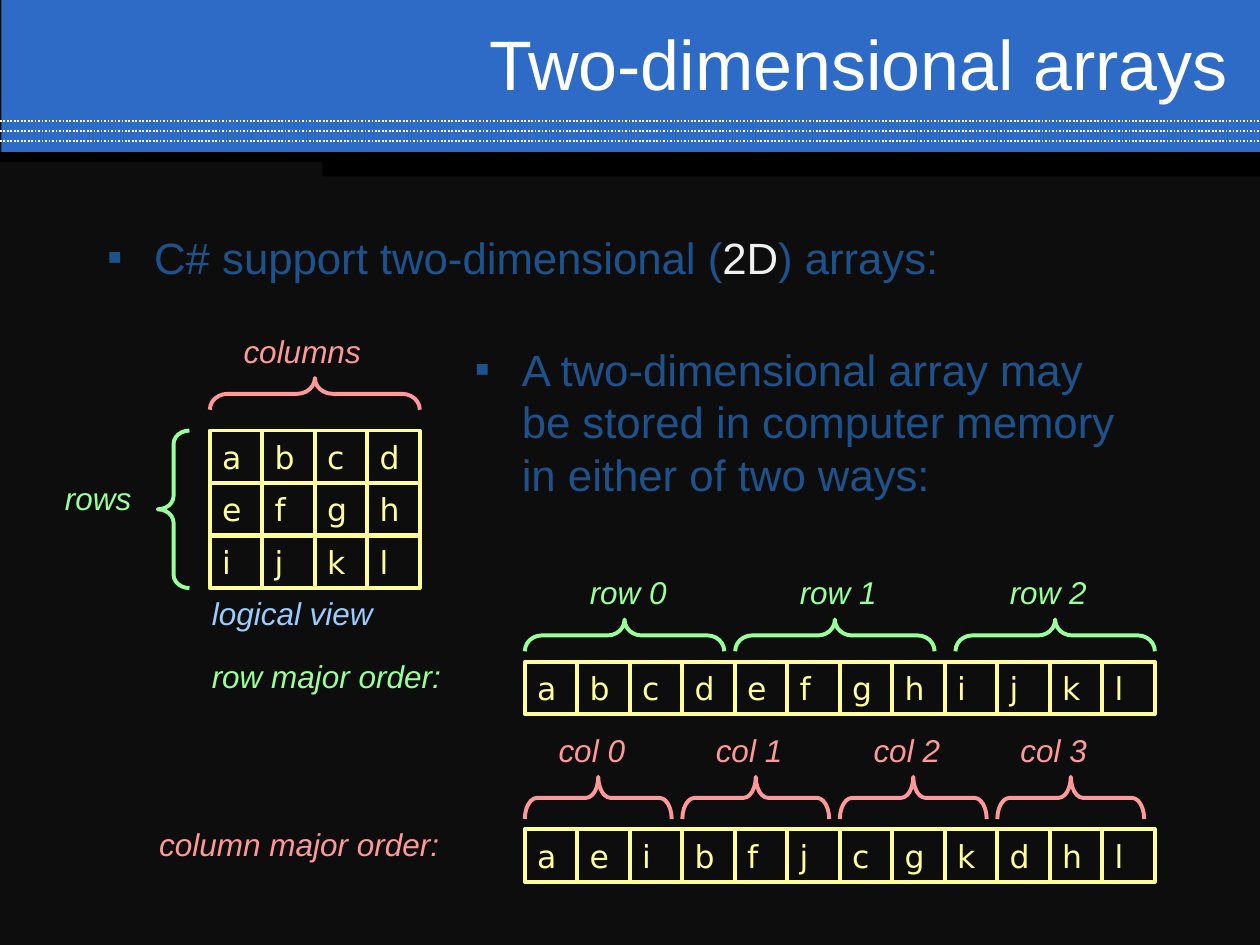
from lxml.etree import SubElement
from pptx import Presentation
from pptx.dml.color import RGBColor
from pptx.enum.dml import MSO_LINE
from pptx.enum.shapes import MSO_CONNECTOR, MSO_SHAPE as Shape
from pptx.enum.text import MSO_ANCHOR as Anchor, PP_ALIGN as Align
from pptx.oxml.ns import qn
from pptx.util import Cm, Pt

COLORS = {
    "background": "0D0D0D", "banner": "2D6BC7", "shadow": "000000",
    "white": "FFFFFF", "body": "1D528D", "emphasis": "F0F0F0",
    "cell": "FFFF99", "row": "99FF99", "column": "FF9999", "view": "99CCFF",
}

# All positions are in centimetres: left, top, width, height
BARS = [
    ("banner", (0.03, 0, 25.37, 3.12)),
    ("shadow", (0, 3.07, 25.4, 0.2)),
    ("shadow", (6.5, 3.15, 18.9, 0.41)),
]
DOTTED_LINES = [2.44, 2.64, 2.84]

TITLE = "Two-dimensional arrays"
BULLETS = [
    ((1.91, 4.52, 21.59, 2.11),
     [("C# support two-dimensional (", "body"), ("2D", "emphasis"),
      (") arrays:", "body")]),
    ((9.32, 6.78, 13.97, 4.01),
     [("A two-dimensional array may be stored in computer memory "
       "in either of two ways:", "body")]),
]

GRID = ["abcd", "efgh", "ijkl"]
CELL = 12.7 / 12
GRID_LEFT, GRID_TOP = 4.23, 8.68
MEMORY_LEFT, ROW_ORDER_TOP, COLUMN_ORDER_TOP = 10.58, 13.34, 16.72
ROW_ORDER = "".join(GRID)
COLUMN_ORDER = "".join("".join(column) for column in zip(*GRID))

LABELS = [
    ("logical view", "view", 4.02, 11.85, 4.87),
    ("rows", "row", 1.06, 9.53, 2.54),
    ("columns", "column", 4.66, 6.56, 4.02),
    ("row major order:", "row", 4.02, 13.12, 6.56),
    ("column major order:", "column", 2.96, 16.51, 7.62),
]
LABELS += [(f"row {i}", "row", 11.64 + 4 * CELL * i, 11.43, 2.54)
           for i in range(3)]
LABELS += [(f"col {i}", "column", left, 14.61, 2.33)
           for i, left in enumerate([11.01, 14.18, 17.36, 20.32])]

# Braces that open downwards: colour, box, bend
TOP_BRACES = [("column", (GRID_LEFT, 7.62, 4 * CELL, 0.64), 0.56)]
TOP_BRACES += [("row", (left, 12.49, 4.02, 0.64), 0.53)
               for left in (MEMORY_LEFT, 14.82, 19.26)]
TOP_BRACES += [("column", (MEMORY_LEFT + 3 * CELL * i, 15.66, 2.96, 0.85), 0.29)
               for i in range(4)]


def rgb(name):
    return RGBColor.from_string(COLORS[name])


def set_all(target, formats):
    for key, value in formats.items():
        setattr(target, key, value)


def add_runs(paragraph, runs, size, font="Arial", italic=False):
    for words, color in runs:
        run = paragraph.add_run()
        run.text = words
        set_all(run.font, {"size": Pt(size), "name": font, "italic": italic})
        run.font.color.rgb = rgb(color)


def add_text(slide, box, runs, size, italic=False):
    frame = slide.shapes.add_textbox(*map(Cm, box)).text_frame
    frame.word_wrap = True
    add_runs(frame.paragraphs[0], runs, size, italic=italic)
    return frame


def add_outline(slide, preset, box, color):
    shape = slide.shapes.add_shape(preset, *map(Cm, box))
    shape.shadow.inherit = False
    shape.fill.background()
    shape.line.color.rgb = rgb(color)
    shape.line.width = Pt(2.25)
    return shape


def add_cells(slide, letters, left, top):
    for i, letter in enumerate(letters):
        box = (left + i * CELL, top, CELL, CELL)
        frame = add_outline(slide, Shape.RECTANGLE, box, "cell").text_frame
        set_all(frame, {"word_wrap": False, "vertical_anchor": Anchor.MIDDLE})
        frame.paragraphs[0].alignment = Align.LEFT
        add_runs(frame.paragraphs[0], [(letter, "cell")], 18, "DejaVu Sans")


def add_top_brace(slide, color, box, bend):
    """Turn a left brace by 90 degrees so that it fills the box."""
    left, top, width, height = box
    shift = (width - height) / 2
    upright = (left + shift, top - shift, height, width)
    brace = add_outline(slide, Shape.LEFT_BRACE, upright, color)
    brace.rotation = 90
    brace.adjustments[0] = bend


def add_banner(slide):
    for color, box in BARS:
        bar = slide.shapes.add_shape(Shape.RECTANGLE, *map(Cm, box))
        bar.shadow.inherit = False
        bar.fill.solid()
        bar.fill.fore_color.rgb = rgb(color)
        bar.line.fill.background()
    for y in DOTTED_LINES:
        rule = slide.shapes.add_connector(
            MSO_CONNECTOR.STRAIGHT, Cm(0), Cm(y), Cm(25.4), Cm(y))
        rule.line.color.rgb = rgb("white")
        set_all(rule.line, {"width": Pt(1), "dash_style": MSO_LINE.ROUND_DOT})
        SubElement(rule._element.spPr, qn("a:effectLst"))
    title = add_text(slide, (3.81, 0, 21.59, 2.54), [(TITLE, "white")], 40)
    set_all(title, {"vertical_anchor": Anchor.MIDDLE, "margin_right": Cm(0.65)})
    title.paragraphs[0].alignment = Align.RIGHT


def add_bullet(slide, box, runs):
    paragraph = add_text(slide, box, runs, 25).paragraphs[0]
    properties = paragraph._p.get_or_add_pPr()
    properties.set("marL", str(Cm(0.95)))
    properties.set("indent", str(-Cm(0.95)))
    SubElement(properties, qn("a:buFont")).set("typeface", "Arial")
    SubElement(properties, qn("a:buChar")).set("char", "▪")


def main():
    deck = Presentation()
    set_all(deck, {"slide_width": Cm(25.4), "slide_height": Cm(19.05)})
    slide = deck.slides.add_slide(deck.slide_layouts[6])
    slide.background.fill.solid()
    slide.background.fill.fore_color.rgb = rgb("background")

    add_banner(slide)
    for box, runs in BULLETS:
        add_bullet(slide, box, runs)
    for i, letters in enumerate(GRID):
        add_cells(slide, letters, GRID_LEFT, GRID_TOP + i * CELL)
    add_cells(slide, ROW_ORDER, MEMORY_LEFT, ROW_ORDER_TOP)
    add_cells(slide, COLUMN_ORDER, MEMORY_LEFT, COLUMN_ORDER_TOP)

    rows_box = (3.18, GRID_TOP, 0.64, 3 * CELL)
    rows_brace = add_outline(slide, Shape.LEFT_BRACE, rows_box, "row")
    rows_brace.adjustments[0] = 0.42
    for color, box, bend in TOP_BRACES:
        add_top_brace(slide, color, box, bend)
    for words, color, left, top, width in LABELS:
        add_text(slide, (left, top, width, 1.27), [(words, color)], 18, True)

    deck.save("out.pptx")


if __name__ == "__main__":
    main()
